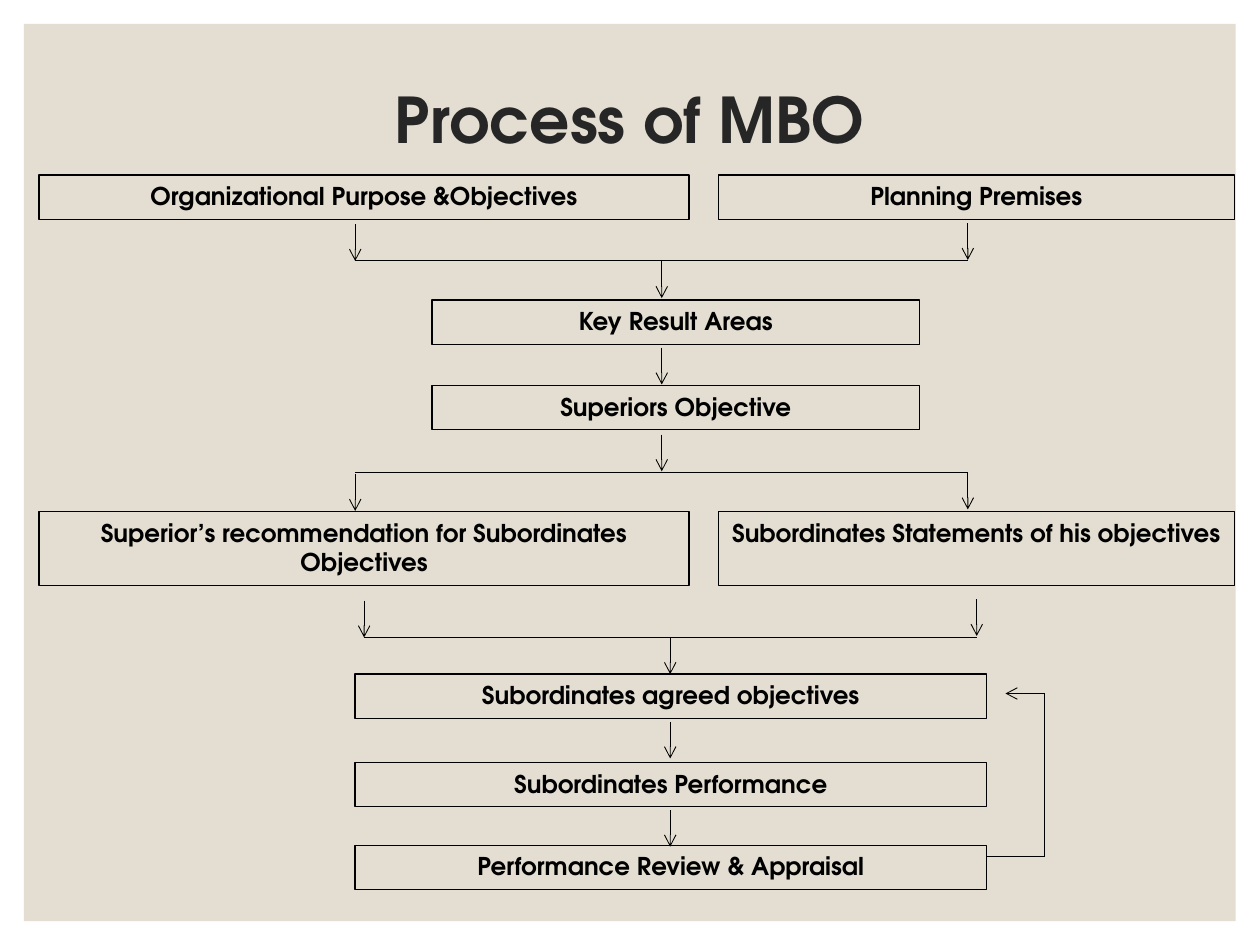
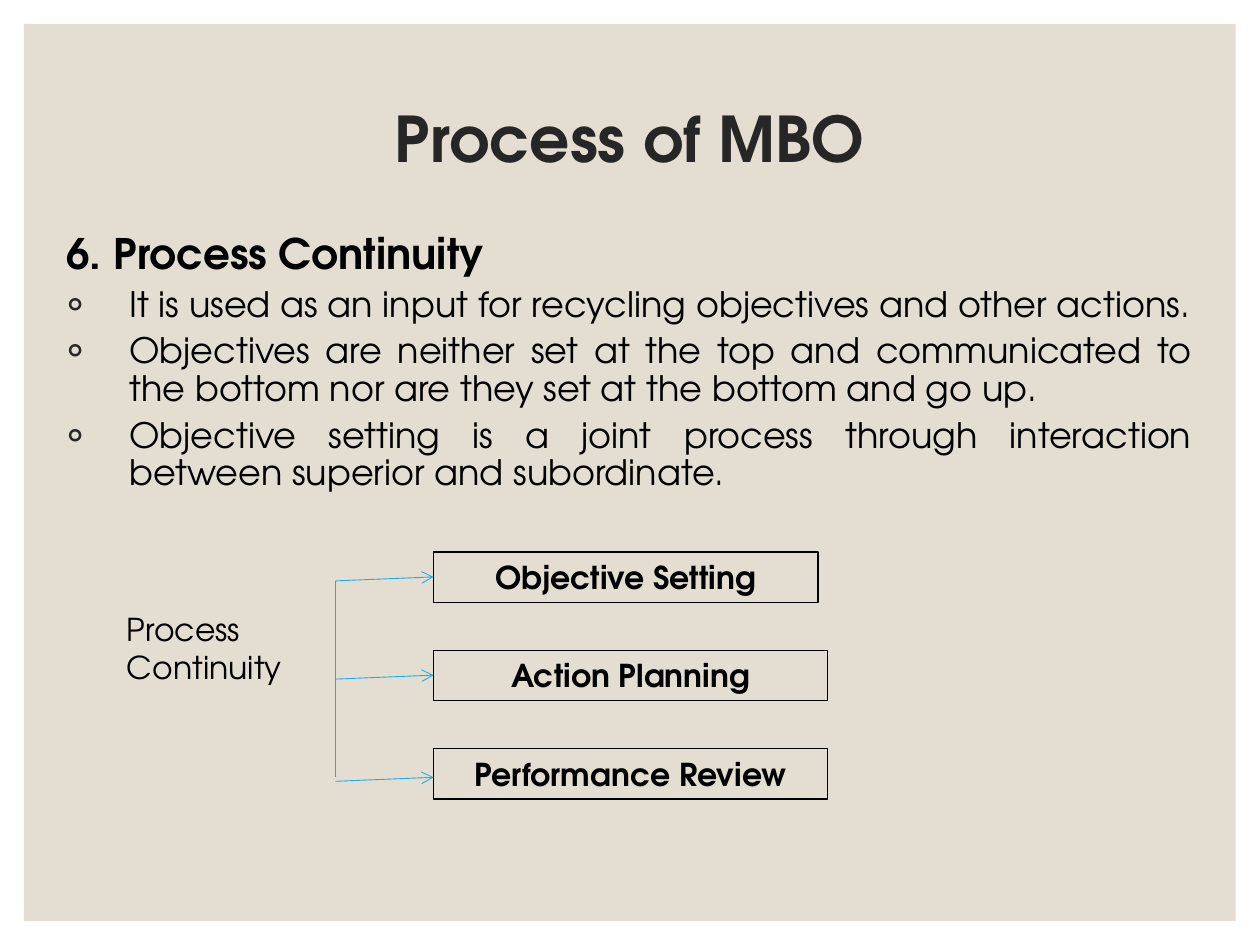
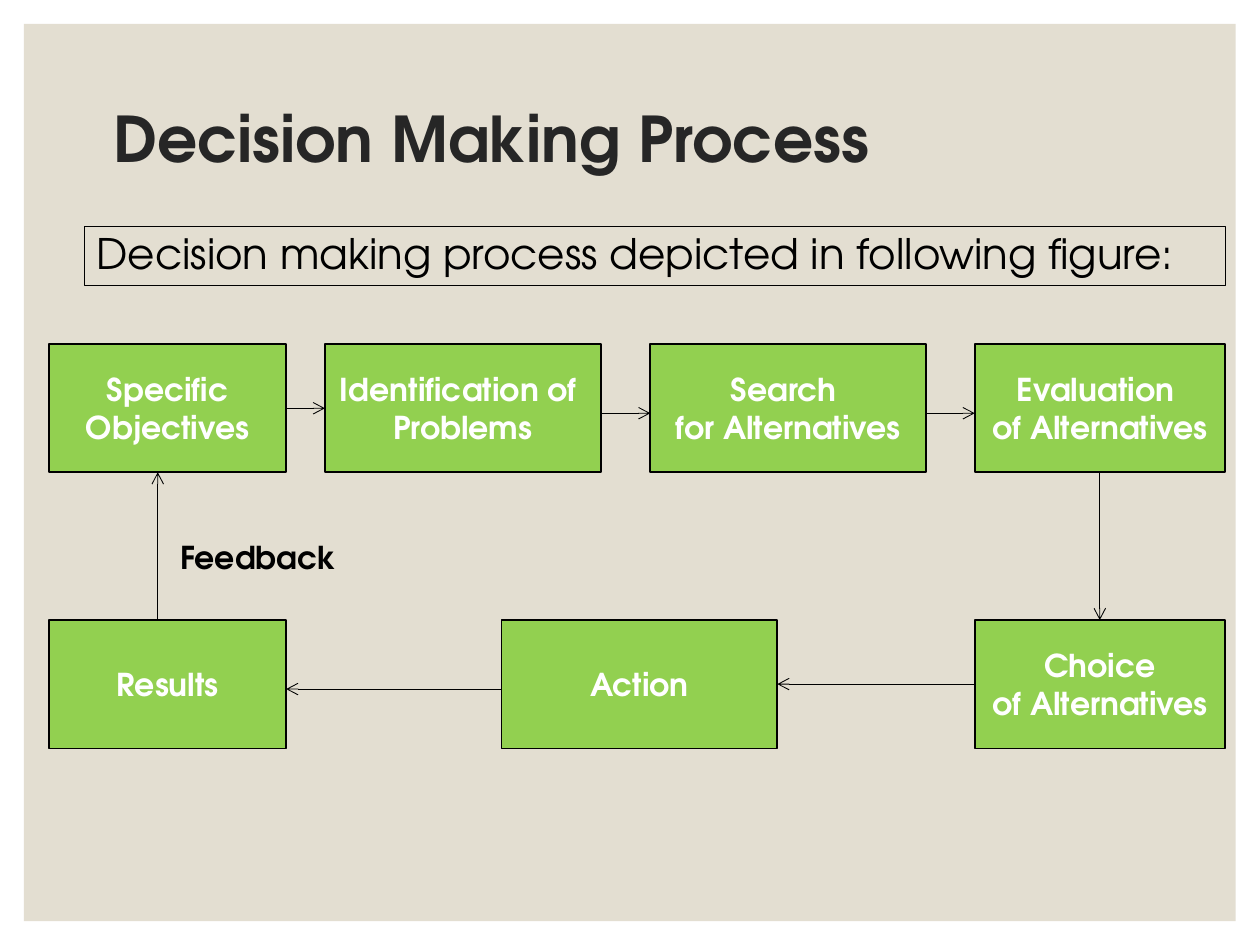
from lxml.etree import SubElement
from pptx import Presentation
from pptx.dml.color import RGBColor
from pptx.enum.shapes import MSO_CONNECTOR as Connector, MSO_SHAPE as Preset
from pptx.enum.text import MSO_ANCHOR as Anchor, PP_ALIGN as Align
from pptx.oxml.ns import qn
from pptx.util import Cm, Pt

COLOURS = {"panel": "E3DED1", "title": "262626", "text": "000000", "line": "000000",
           "accent": "1CADE4", "step": "92D050", "step_text": "FFFFFF"}
FONT = "TeX Gyre Adventor"
TITLE = {"size": 36, "bold": True, "colour": "title"}
FLOW = {"size": 14, "bold": True, "colour": "text"}
LABEL = {"size": 18, "bold": True, "colour": "text"}
PLAIN = {"size": 18, "bold": False, "colour": "text"}
HEADING = {"size": 24, "bold": True, "colour": "text"}
INTRO = {"size": 24, "bold": False, "colour": "text"}
POINT = {"size": 20, "bold": False, "colour": "text"}
STEP = {"size": 18, "bold": True, "colour": "step_text"}


def add_box(slide, area, lines, style, align=Align.CENTER, anchor=Anchor.TOP,
            fill=None, outline=None, **spacing):
    """Place a rectangle; area is left, top, width, height in cm."""
    box = slide.shapes.add_shape(Preset.RECTANGLE, *map(Cm, area))
    box.shadow.inherit = False
    if fill:
        box.fill.solid()
        box.fill.fore_color.rgb = RGBColor.from_string(COLOURS[fill])
    else:
        box.fill.background()
    if outline:
        box.line.color.rgb = RGBColor.from_string(COLOURS["line"])
        box.line.width = Pt(outline)
    else:
        box.line.fill.background()
    frame = box.text_frame
    frame.word_wrap = True
    frame.vertical_anchor = anchor
    for number, words in enumerate(lines):
        paragraph = frame.add_paragraph() if number else frame.paragraphs[0]
        for name, value in {"alignment": align, **spacing}.items():
            setattr(paragraph, name, value)
        run = paragraph.add_run()
        run.text = words
        look = style[number] if isinstance(style, list) else style
        for name, value in {"name": FONT, "size": Pt(look["size"]), "bold": look["bold"]}.items():
            setattr(run.font, name, value)
        run.font.color.rgb = RGBColor.from_string(COLOURS[look["colour"]])
    return box


def add_line(slide, x1, y1, x2, y2, arrow=True, colour="line"):
    """Draw a thin line between two points in cm, with an open arrow at its end."""
    line = slide.shapes.add_connector(Connector.STRAIGHT, Cm(x1), Cm(y1), Cm(x2), Cm(y2))
    line.line.color.rgb = RGBColor.from_string(COLOURS[colour])
    line.line.width = Pt(0.5)
    properties = line._element.spPr
    if arrow:
        SubElement(properties.find(qn("a:ln")), qn("a:tailEnd"), type="arrow")
    SubElement(properties, qn("a:effectLst"))


deck = Presentation()
deck.slide_width, deck.slide_height = Cm(25.4), Cm(19.05)

# Shared panel and titles
slides = []
for title, top, height, align in [("Process of MBO", 1.27, 2.44, Align.CENTER),
                                  ("Process of MBO", 1.78, 2.18, Align.CENTER),
                                  ("Decision Making Process", 1.78, 2.18, Align.LEFT)]:
    slide = deck.slides.add_slide(deck.slide_layouts[6])
    add_box(slide, (0.48, 0.48, 24.43, 18.09), [], TITLE, fill="panel")
    add_box(slide, (2.03, top, 21.34, height), [title], TITLE, align, Anchor.MIDDLE,
            line_spacing=0.9)
    slides.append(slide)
mbo, continuity, decision = slides

# Slide 1: boxes of the MBO flow
LEFT, RIGHT = (0.79, 13.1), (14.48, 10.41)
MIDDLE, LOWER = (8.71, 9.83), (7.16, 12.73)
for (left, width), top, height, words in [
        (LEFT, 3.53, 0.89, "Organizational Purpose &Objectives"),
        (RIGHT, 3.53, 0.89, "Planning Premises"),
        (MIDDLE, 6.05, 0.89, "Key Result Areas"),
        (MIDDLE, 7.77, 0.89, "Superiors Objective"),
        (LEFT, 10.31, 1.5, "Superior’s recommendation for Subordinates Objectives"),
        (RIGHT, 10.31, 1.5, "Subordinates Statements of his objectives"),
        (LOWER, 13.59, 0.89, "Subordinates agreed objectives"),
        (LOWER, 15.37, 0.89, "Subordinates Performance"),
        (LOWER, 17.04, 0.89, "Performance Review & Appraisal")]:
    add_box(mbo, (left, top, width, height), [words], FLOW, outline=0.75)

# Joining bars, then the down arrows, all of one length
for left, right, y in [(7.16, 19.51, 5.26), (7.16, 19.51, 9.53), (7.34, 19.69, 12.85)]:
    add_line(mbo, left, y, right, y, arrow=False)
DROP = 0.74
for x, tops in [(7.16, [4.52, 9.56]), (19.51, [4.5, 9.53]), (13.34, [5.27, 7.01, 8.76]),
                (7.34, [12.11]), (19.69, [12.08]), (13.51, [12.85, 14.55, 16.33])]:
    for top in tops:
        add_line(mbo, x, top, x, top + DROP)

# Feedback loop from the review to the agreed objectives
add_line(mbo, 19.89, 17.27, 21.05, 17.27, arrow=False)
add_line(mbo, 21.05, 17.27, 21.05, 13.98, arrow=False)
add_line(mbo, 21.05, 13.98, 20.27, 13.98)

# Slide 2: heading and bulleted points
points = ["6. Process Continuity",
          "It is used as an input for recycling objectives and other actions.",
          "Objectives are neither set at the top and communicated to the bottom "
          "nor are they set at the bottom and go up.",
          "Objective setting is a joint process through interaction between superior "
          "and subordinate."]
body = add_box(continuity, (1.09, 4.57, 23.19, 5.94), points, [HEADING] + [POINT] * 3,
               Align.JUSTIFY, line_spacing=0.9, space_before=Pt(5))
for number, paragraph in enumerate(body.text_frame.paragraphs):
    properties = paragraph._p.get_or_add_pPr()
    properties.set("marL", str(Cm(1.27)))
    properties.set("indent", str(-Cm(1.27)))
    if number:
        bullet_colour = SubElement(properties, qn("a:buClr"))
        SubElement(bullet_colour, qn("a:srgbClr"), val=COLOURS["title"])
        SubElement(properties, qn("a:buFont"), typeface=FONT)
        SubElement(properties, qn("a:buChar"), char="◦")

# Three stages branching from one label
add_box(continuity, (2.31, 12.17, 4.19, 1.8), ["Process Continuity"], PLAIN, Align.LEFT)
add_line(continuity, 6.76, 11.71, 6.76, 15.67, arrow=False, colour="accent")
for row, (stage, width, start) in enumerate([("Objective Setting", 7.75, 11.71),
                                             ("Action Planning", 7.95, 13.69),
                                             ("Performance Review", 7.95, 15.75)]):
    add_box(continuity, (8.74, 11.13 + 1.98 * row, width, 1.02), [stage], LABEL, outline=0.75)
    add_line(continuity, 6.76, start, 8.74, start - 0.08, colour="accent")

# Slide 3: introduction and process steps
add_box(decision, (1.7, 4.57, 23.01, 1.19),
        ["Decision making process depicted in following figure:"], INTRO, Align.JUSTIFY,
        outline=0.75, line_spacing=0.9, space_before=Pt(5))
UPPER_ROW, LOWER_ROW, STEP_HEIGHT = 6.93, 12.5, 2.59
for left, top, width, words in [
        (0.99, UPPER_ROW, 4.78, ["Specific Objectives"]),
        (6.55, UPPER_ROW, 5.56, ["Identification of ", "Problems"]),
        (13.11, UPPER_ROW, 5.56, ["Search ", "for Alternatives"]),
        (19.65, UPPER_ROW, 5.05, ["Evaluation ", "of Alternatives"]),
        (19.65, LOWER_ROW, 5.05, ["Choice", "of Alternatives"]),
        (10.11, LOWER_ROW, 5.56, ["Action"]),
        (0.99, LOWER_ROW, 4.78, ["Results"])]:
    add_box(decision, (left, top, width, STEP_HEIGHT), words, STEP,
            anchor=Anchor.MIDDLE, fill="step", outline=1)
add_box(decision, (3.38, 10.72, 3.96, 1.02), ["Feedback"], LABEL, Align.LEFT)

# Arrows around the cycle
for x1, y1, x2, y2 in [(5.77, 8.23, 6.55, 8.23), (12.11, 8.33, 13.11, 8.33),
                       (18.67, 8.33, 19.65, 8.33),
                       (22.17, UPPER_ROW + STEP_HEIGHT, 22.17, LOWER_ROW),
                       (19.65, 13.79, 15.67, 13.79), (10.11, 13.89, 5.77, 13.89),
                       (3.18, LOWER_ROW, 3.18, UPPER_ROW + STEP_HEIGHT)]:
    add_line(decision, x1, y1, x2, y2)

deck.save("out.pptx")
